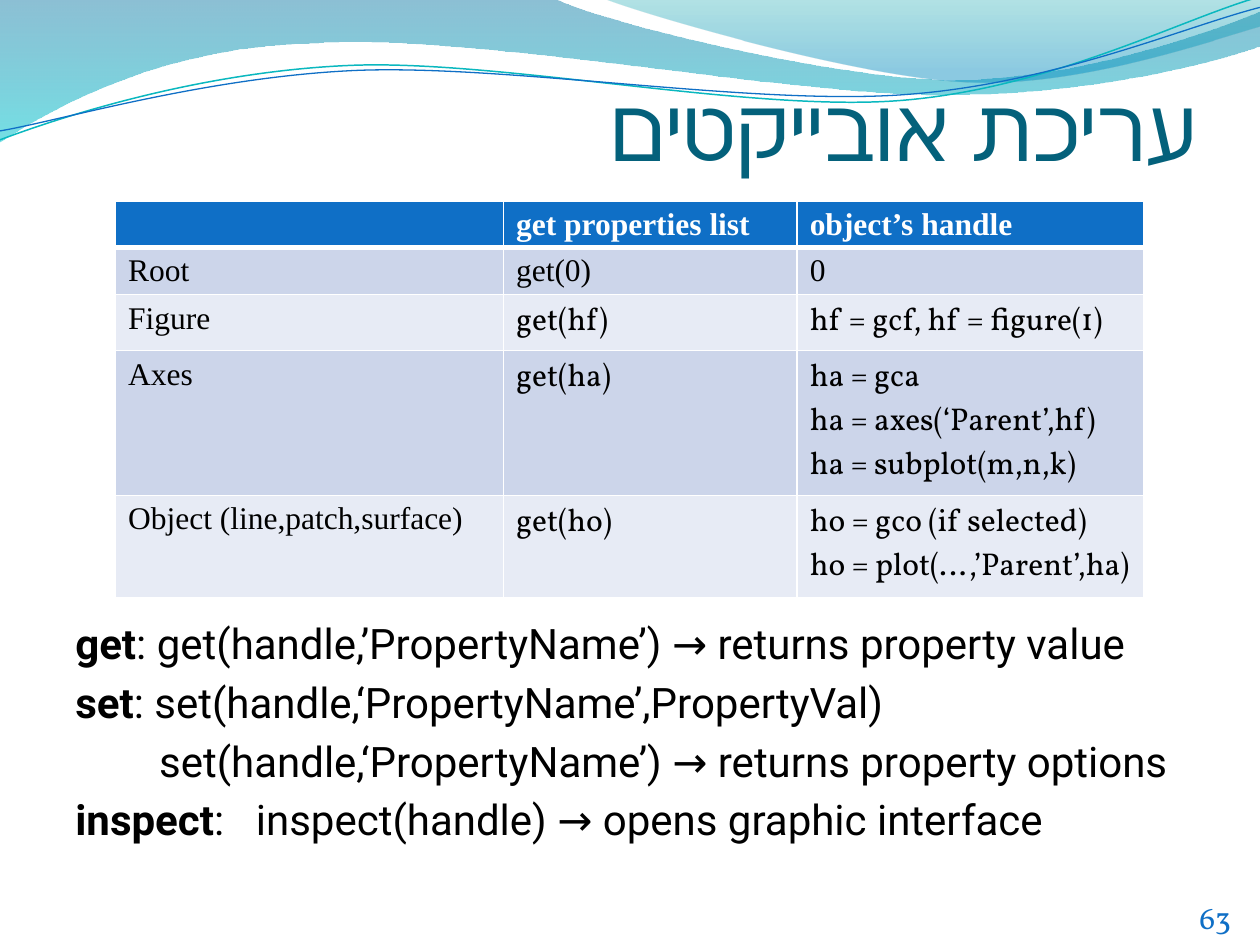
import pptx
import pptx.dml.color
import pptx.enum.text
import pptx.oxml
import pptx.oxml.ns
import pptx.util
from lxml import etree

Cm = pptx.util.Cm
Pt = pptx.util.Pt
qn = pptx.oxml.ns.qn


def rgb(hex_color):
    return pptx.dml.color.RGBColor.from_string(hex_color)


def write(paragraph, text, font="Roboto", size=24, color="000000", bold=False):
    run = paragraph.add_run()
    run.text = text
    run.font.name = font
    run.font.size = Pt(size)
    run.font.bold = bold
    run.font.color.rgb = rgb(color)
    return run


class Deck:
    blue = "0F6FC6"
    heading = "04617B"
    bands = ("CCD5EA", "E7EBF5")

    def __init__(self):
        self.presentation = pptx.Presentation()
        self.presentation.slide_width = Cm(25.4)
        self.presentation.slide_height = Cm(19.05)
        self.slide = self.presentation.slides.add_slide(self.presentation.slide_layouts[5])

    def outline(self, start, segments, close):
        points = [(x * 100, y * 100) for segment in segments for x, y in segment]
        builder = self.slide.shapes.build_freeform(start[0] * 100, start[1] * 100, scale=Cm(0.01))
        builder.add_line_segments(points, close=close)
        shape = builder.convert_to_shape()
        shape.shadow.inherit = False
        legs = iter(list(shape.element.iter(qn("a:lnTo"))))
        for segment in segments:
            first, *others = [next(legs) for point in segment]
            if others:
                curve = etree.Element(qn("a:cubicBezTo"))
                first.addprevious(curve)
                for leg in (first, *others):
                    curve.append(leg[0])
                    leg.getparent().remove(leg)
        return shape

    def wave(self, start, segments, stops):
        wave = self.outline(start, segments, True)
        wave.line.fill.background()
        wave.fill.gradient()
        wave.fill.gradient_angle = 270
        for stop, (position, color, opacity) in zip(wave.fill.gradient_stops, stops):
            stop.position = position
            stop.color.rgb = rgb(color)
        for tint, (position, color, opacity) in zip(wave.element.iter(qn("a:srgbClr")), stops):
            etree.SubElement(tint, qn("a:alpha"), val=str(opacity * 1000))

    def strand(self, start, segments, color, width):
        strand = self.outline(start, segments, False)
        strand.fill.background()
        strand.line.color.rgb = rgb(color)
        strand.line.width = Pt(width)

    def title(self, text):
        title = self.slide.shapes.title
        self.slide.shapes.element.append(title.element)
        title.left, title.top, title.width, title.height = Cm(1.27), Cm(0), Cm(22.86), Cm(3.6)
        frame = title.text_frame
        frame.auto_size = pptx.enum.text.MSO_AUTO_SIZE.NONE
        frame.vertical_anchor = pptx.enum.text.MSO_ANCHOR.BOTTOM
        frame.margin_left = frame.margin_right = frame.margin_bottom = Cm(0)
        paragraph = frame.paragraphs[0]
        paragraph.alignment = pptx.enum.text.PP_ALIGN.RIGHT
        paragraph._p.get_or_add_pPr().set("rtl", "1")
        run = write(paragraph, text, size=50, color=self.heading)
        etree.SubElement(run.font._element, qn("a:cs"), typeface="Roboto")

    def text_box(self, left, top, width, height):
        frame = self.slide.shapes.add_textbox(Cm(left), Cm(top), Cm(width), Cm(height)).text_frame
        frame.word_wrap = True
        return frame

    def commands(self, entries):
        frame = self.text_box(1.27, 4.01, 22.86, 13.54)
        frame.margin_top = Cm(8.44)
        for index, (keyword, usage, indent, tab) in enumerate(entries):
            paragraph = frame.add_paragraph() if index else frame.paragraphs[0]
            paragraph.space_before = Pt(4.75 if index else 0)
            properties = paragraph._p.get_or_add_pPr()
            properties.set("marL", str(Cm(indent)))
            if tab:
                tabs = etree.SubElement(properties, qn("a:tabLst"))
                etree.SubElement(tabs, qn("a:tab"), pos=str(Cm(tab)), algn="l")
            if keyword:
                write(paragraph, keyword, bold=True)
            write(paragraph, usage)

    def page_number(self, number):
        frame = self.text_box(23.93, 17.98, 1.47, 1.02)
        write(frame.paragraphs[0], number, "Vollkorn", 18, self.blue)

    def borders(self, cell, bottom):
        properties = cell._tc.get_or_add_tcPr()
        for side, width in (("L", 1), ("R", 1), ("T", 1), ("B", bottom)):
            border = etree.SubElement(properties, qn(f"a:ln{side}"), w=str(Pt(width)))
            paint = etree.SubElement(border, qn("a:solidFill"))
            etree.SubElement(paint, qn("a:srgbClr"), val="FFFFFF")

    def table(self, rows, widths, heights):
        table = self.slide.shapes.add_table(
            len(rows), len(widths), Cm(2.33), Cm(4.05), Cm(sum(widths)), Cm(sum(heights))).table
        table.horz_banding = False
        for column, width in zip(table.columns, widths):
            column.width = Cm(width)
        for r, (row, height) in enumerate(zip(rows, heights)):
            table.rows[r].height = Cm(height)
            header = r == 0
            for c, text in enumerate(row):
                cell = table.cell(r, c)
                cell.margin_bottom = Cm(0.05 if r < 2 else 0.13)
                self.borders(cell, 3 if header else 1)
                cell.fill.solid()
                cell.fill.fore_color.rgb = rgb(self.blue if header else self.bands[(r - 1) % 2])
                font = "Times New Roman" if r < 2 or c == 0 else "Vollkorn"
                for index, line in enumerate(text.split("\n") if text else []):
                    paragraph = cell.text_frame.add_paragraph() if index else cell.text_frame.paragraphs[0]
                    write(paragraph, line, font, 18, "FFFFFF" if header else "000000", header)


def main():
    deck = Deck()
    deck.wave((0, 0), [
        ((11.18, -0.03),),
        ((12.09, 0.43), (16.87, 1.6), (19.25, 1.6)),
        ((21.67, 1.6), (24.33, 0.66), (25.4, 0.23)),
        ((25.43, 0.91),),
        ((24.97, 1.12), (22.1, 1.93), (18.95, 1.91)),
        ((15.8, 1.91), (9.7, 0.71), (6.53, 0.86)),
        ((3.28, 0.91), (1.17, 2.11), (-0.03, 2.87)),
        ((0, 0),),
    ], [(0, "0074A1", 45), (1, "00C6CF", 55)])
    deck.wave((12.17, -0.03), [
        ((12.93, 0.28), (17.32, 1.57), (19.53, 1.65)),
        ((21.74, 1.75), (24.41, 0.81), (25.4, 0.53)),
        ((25.4, 0),),
        ((12.17, -0.03),),
    ], [(0, "00A1A9", 30), (0.8, "008BBF", 45)])
    deck.strand((0, 2.82), [
        ((1.22, 2.36), (4.01, 1.45), (7.04, 1.32)),
        ((10.03, 1.19), (15.06, 2.26), (18.11, 2.03)),
        ((21.16, 1.8), (23.83, 0.38), (25.35, -0.05)),
    ], "0AB8BF", 0.85)
    deck.strand((0, 2.64), [
        ((1.19, 2.44), (4.17, 1.55), (7.19, 1.42)),
        ((10.24, 1.3), (15.16, 2.13), (18.21, 1.91)),
        ((21.23, 1.7), (23.9, 0.53), (25.4, 0.15)),
    ], deck.blue, 0.75)
    deck.page_number("63")
    deck.title("עריכת אובייקטים")
    deck.commands([
        ("get", ": get(handle,’PropertyName’) → returns property value", 0, 0),
        ("set", ": set(handle,‘PropertyName’,PropertyVal)", 0, 0),
        ("", "set(handle,‘PropertyName’) → returns property options", 1.69, 0),
        ("inspect", ":\tinspect(handle) → opens graphic interface", 0, 3.64),
    ])
    deck.table([
        ("", "get properties list", "object’s handle"),
        ("Root", "get(0)", "0"),
        ("Figure", "get(hf)", "hf = gcf, hf = figure(1)"),
        ("Axes", "get(ha)", "ha = gca\nha = axes(‘Parent’,hf)\nha = subplot(m,n,k)"),
        ("Object (line,patch,surface)", "get(ho)", "ho = gco (if selected)\nho = plot(…,’Parent’,ha)"),
    ], widths=(7.82, 5.92, 6.99), heights=(0.94, 0.95, 1.13, 2.92, 2.07))
    deck.presentation.save("out.pptx")


if __name__ == "__main__":
    main()
